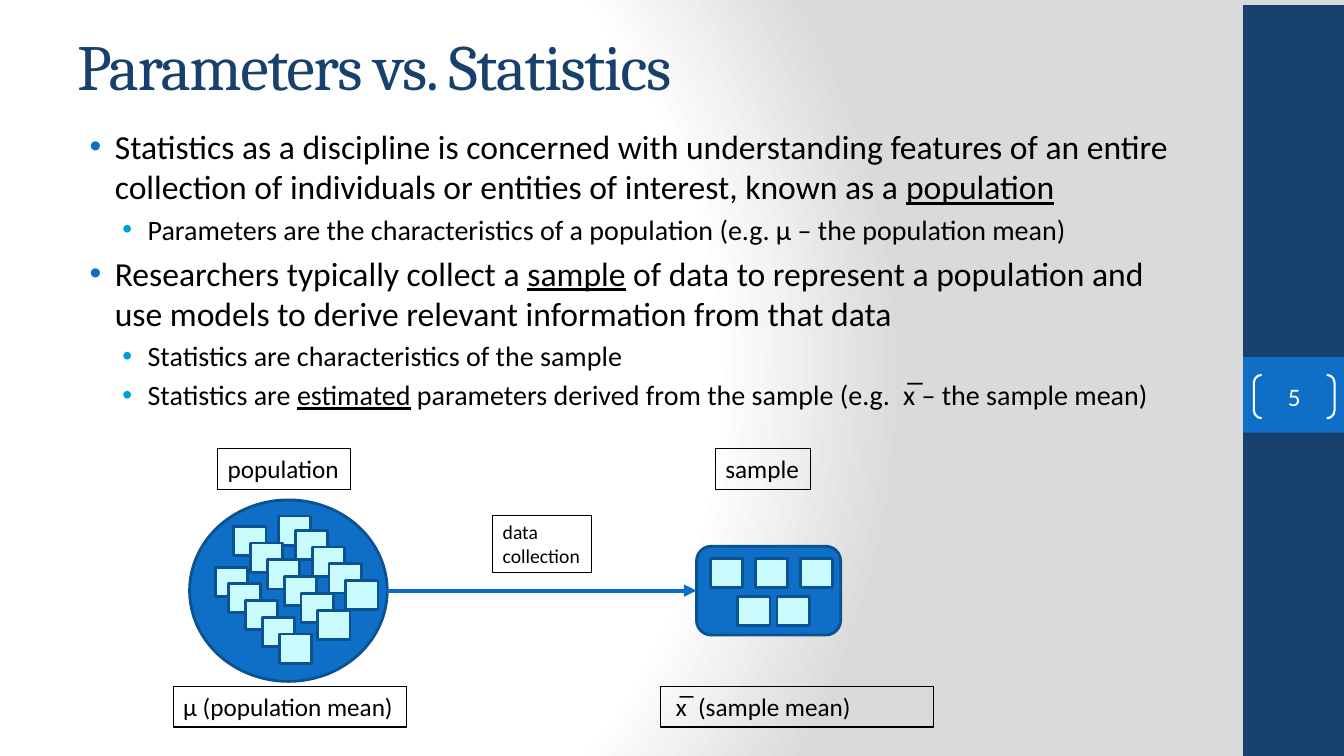
from pptx import Presentation
from pptx.dml.color import RGBColor
from pptx.enum.shapes import MSO_CONNECTOR, MSO_SHAPE
from pptx.enum.text import MSO_ANCHOR, MSO_AUTO_SIZE, PP_ALIGN
from pptx.oxml import parse_xml
from pptx.oxml.ns import nsdecls
from pptx.util import Pt

RECT, OVAL, ROUNDED = MSO_SHAPE.RECTANGLE, MSO_SHAPE.OVAL, MSO_SHAPE.ROUNDED_RECTANGLE
BRACKETS, STRAIGHT = MSO_SHAPE.DOUBLE_BRACKET, MSO_CONNECTOR.STRAIGHT
MIDDLE, FIT_SHAPE = MSO_ANCHOR.MIDDLE, MSO_AUTO_SIZE.SHAPE_TO_FIT_TEXT
COLORS = {"navy": "17406D", "blue": "0F6FC6", "edge": "0B5292", "cyan": "009DD9",
          "pale": "C9FAFC", "arrow": "0A6DC6", "black": "000000",
          "white": "FFFFFF", "gray": "DADADA"}

prs = Presentation()
prs.slide_width, prs.slide_height = Pt(960), Pt(540)
s = prs.slides.add_slide(prs.slide_layouts[6])


def add_block(kind, box, fill=None, line=None, width=2):
    sp = s.shapes.add_shape(kind, *map(Pt, box))
    sp.shadow.inherit = False
    if fill:
        sp.fill.solid()
        sp.fill.fore_color.rgb = RGBColor.from_string(COLORS[fill])
    else:
        sp.fill.background()
    if line:
        sp.line.color.rgb = RGBColor.from_string(COLORS[line])
        sp.line.width = Pt(width)
    else:
        sp.line.fill.background()
    return sp


def add_run(p, text, size, color="black", font="Calibri"):
    r = p.add_run()
    r.text = text
    r.font.size = Pt(size)
    r.font.name = font
    r.font.color.rgb = RGBColor.from_string(COLORS[color])
    return r


# Background
stops = "".join(f'<a:gs pos="{pos}000"><a:srgbClr val="{COLORS[name]}"/></a:gs>'
                for pos, name in [(0, "white"), (75, "white"), (100, "gray")])
s._element.cSld.insert(0, parse_xml(
    f'<p:bg {nsdecls("p", "a")}><p:bgPr><a:gradFill rotWithShape="1"><a:gsLst>{stops}</a:gsLst>'
    '<a:path path="circle"><a:fillToRect l="20000" t="50000" r="100000" b="50000"/></a:path>'
    '</a:gradFill><a:effectLst/></p:bgPr></p:bg>'))

# Side bar
add_block(RECT, (888, 3.6, 72, 536.4), "navy")
add_block(RECT, (888, 255, 72, 54), "blue")

# Title
tf = s.shapes.add_textbox(Pt(48), Pt(13), Pt(800), Pt(67)).text_frame
tf.word_wrap = True
tf.vertical_anchor = MIDDLE
r = add_run(tf.paragraphs[0], "Parameters vs. Statistics", 46, "navy", "Cambria")
r._r.get_or_add_rPr().set("spc", "-100")

# Bullets: level, then runs of (text, underlined)
bullets = [
    (0, [("Statistics as a discipline is concerned with understanding features of an entire "
          "collection of individuals or entities of interest, known as a ", False),
         ("population", True)]),
    (1, [("Parameters are the characteristics of a population "
          "(e.g. μ – the population mean)", False)]),
    (0, [("Researchers typically collect a ", False), ("sample", True),
         (" of data to represent a population and use models to derive relevant "
          "information from that data", False)]),
    (1, [("Statistics are characteristics of the sample", False)]),
    (1, [("Statistics are ", False), ("estimated", True),
         (" parameters derived from the sample (e.g.  x̅ – the sample mean)", False)]),
]
level_styles = [(24, 27, "blue"), (20, 50.4, "cyan")]
tf = s.shapes.add_textbox(Pt(48), Pt(86.4), Pt(800), Pt(453.6)).text_frame
tf.word_wrap = True
for i, (level, runs) in enumerate(bullets):
    size, indent, bullet_color = level_styles[level]
    p = tf.add_paragraph() if i else tf.paragraphs[0]
    p.level = level
    p.space_before = Pt(size * 0.2)
    pPr = p._p.get_or_add_pPr()
    pPr.set("marL", str(Pt(indent)))
    pPr.set("indent", str(Pt(-18)))
    for xml in (f'<a:buClr {nsdecls("a")}><a:srgbClr val="{COLORS[bullet_color]}"/></a:buClr>',
                f'<a:buFont {nsdecls("a")} typeface="Arial"/>',
                f'<a:buChar {nsdecls("a")} char="•"/>'):
        pPr.append(parse_xml(xml))
    for text, underlined in runs:
        add_run(p, text, size).font.underline = underlined

# Slide number
number = add_block(BRACKETS, (895.7, 267.8, 57.6, 31), line="white", width=1.5)
number.adjustments[0] = 0.179
tf = number.text_frame
tf.margin_left = tf.margin_right = tf.margin_top = tf.margin_bottom = 0
tf.vertical_anchor = MIDDLE
tf.paragraphs[0].alignment = PP_ALIGN.CENTER
add_run(tf.paragraphs[0], "5", 18, "white")

# Population and sample, joined by an arrow
add_block(OVAL, (135.4, 357.1, 141.2, 129.6), "blue", "edge")
sample = add_block(ROUNDED, (497.5, 390.2, 103, 63.4), "blue", "edge")
arrow = s.shapes.add_connector(STRAIGHT, Pt(276.6), Pt(421.9), Pt(497.5), Pt(421.9))
arrow.end_connect(sample, 1)
arrow.line.color.rgb = RGBColor.from_string(COLORS["arrow"])
arrow.line.width = Pt(3)
arrow.line._get_or_add_ln().append(parse_xml(f'<a:tailEnd {nsdecls("a")} type="triangle"/>'))
arrow._element.spPr.append(parse_xml(f'<a:effectLst {nsdecls("a")}/>'))

# Individuals: left, top, count, step right, step down
individual_rows = [
    (198.7, 368.6, 1, 0, 0), (154.1, 405.4, 1, 0, 0),
    (167, 375.8, 6, 12, 12), (211, 378.7, 4, 12, 12), (163.4, 416.9, 4, 12, 12),
    (507.6, 398.9, 3, 32, 0), (527, 426.2, 2, 28, 0),
]
for left, top, count, dx, dy in individual_rows:
    for i in range(count):
        add_block(RECT, (left + i * dx, top + i * dy, 23, 20.9), "pale", "edge")

# Labels: box, text size, wrapped, lines
labels = [
    ((155.5, 320.4, 95, 29), 18, False, ["population"]),
    ((511, 320.4, 67.7, 29), 18, False, ["sample"]),
    ((352, 368, 70.6, 41), 14, False, ["data", "collection"]),
    ((123.8, 490.3, 166.3, 29), 18, False, ["μ (population mean)"]),
    ((471.6, 490.3, 195, 29), 18, True, [" x̅  (sample mean)"]),
]
for box, size, wrapped, lines in labels:
    sp = s.shapes.add_textbox(*map(Pt, box))
    sp.line.color.rgb = RGBColor.from_string(COLORS["black"])
    sp.line.width = Pt(0.75)
    tf = sp.text_frame
    tf.word_wrap = wrapped
    tf.auto_size = FIT_SHAPE
    for i, text in enumerate(lines):
        add_run(tf.add_paragraph() if i else tf.paragraphs[0], text, size)

prs.save("out.pptx")
